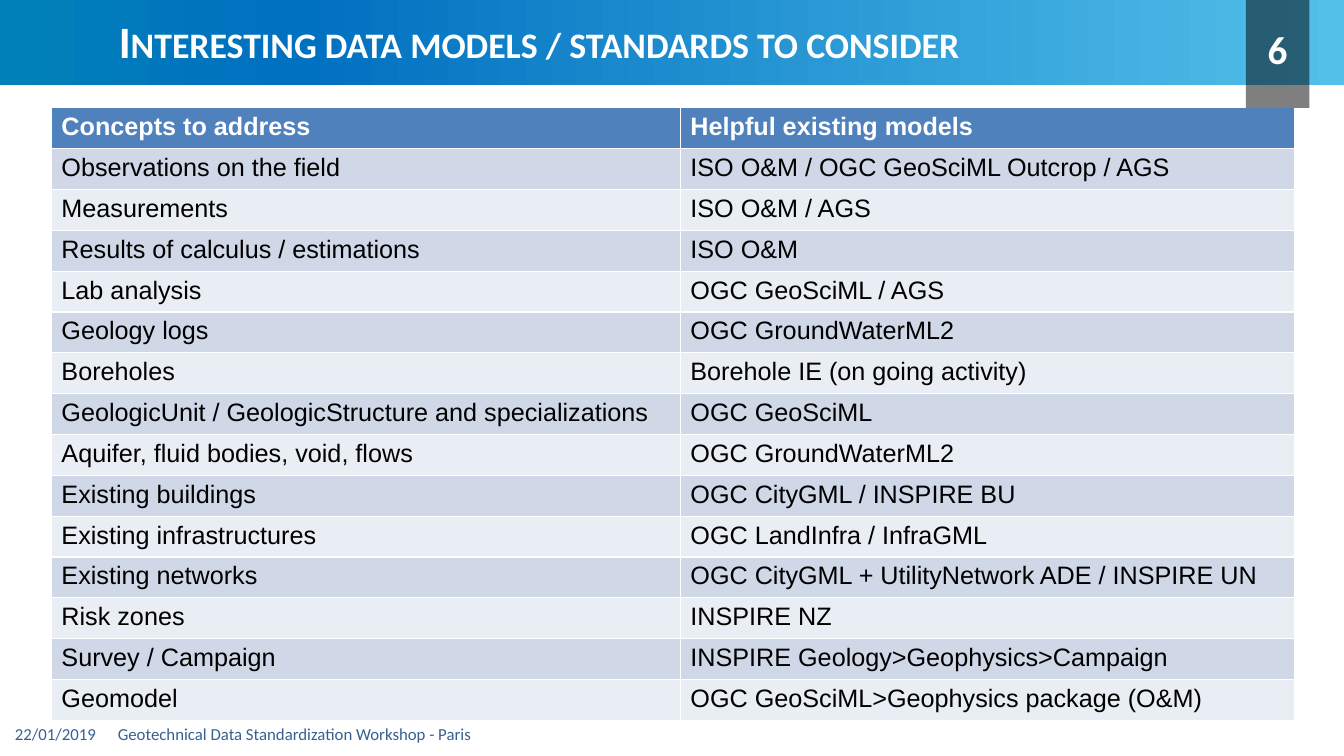
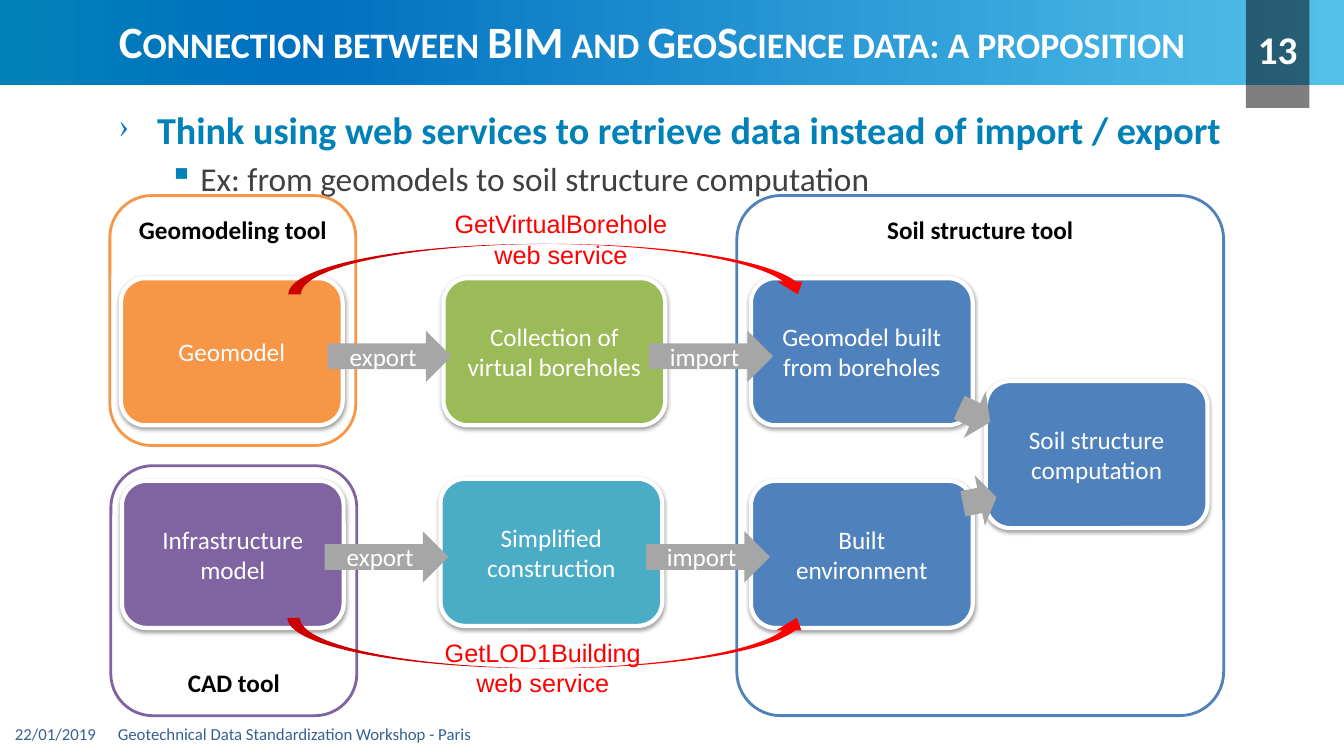
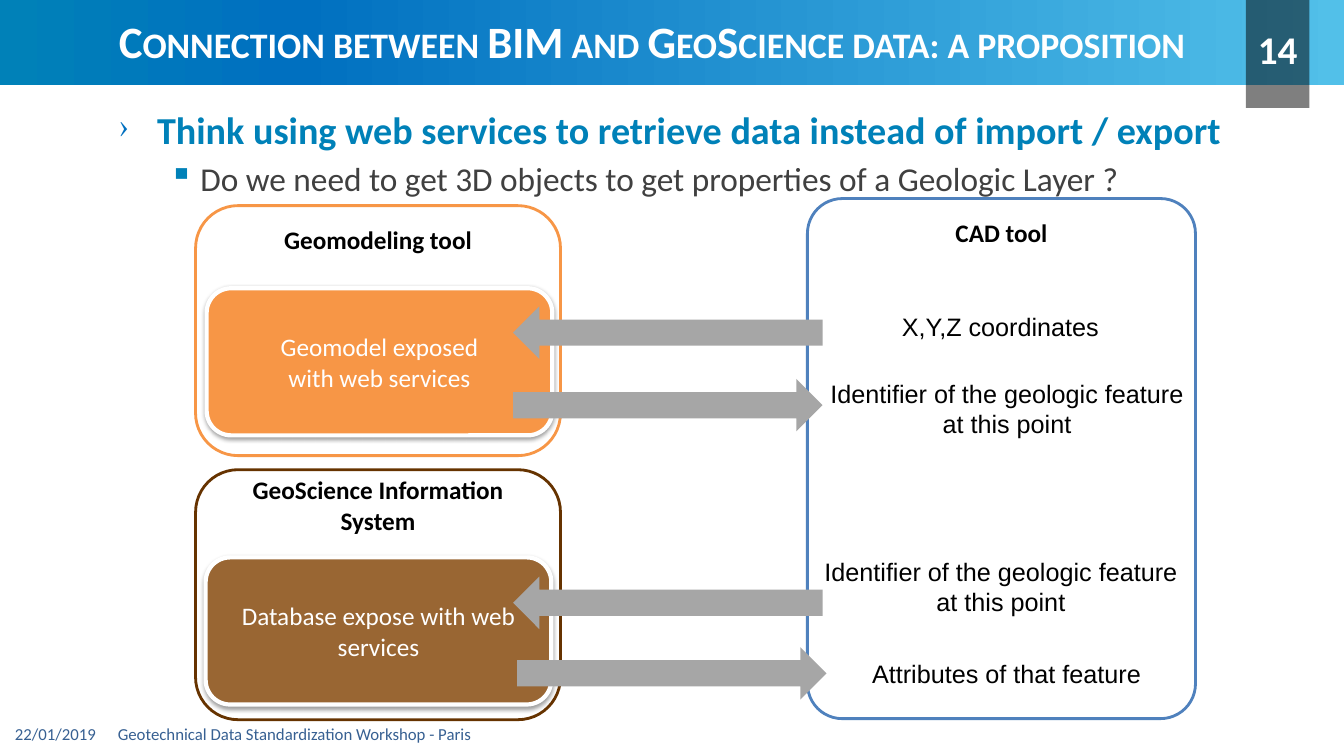
from copy import deepcopy

from lxml.etree import SubElement
from pptx import Presentation
from pptx.dml.color import RGBColor
from pptx.enum.shapes import MSO_SHAPE as Kind
from pptx.enum.text import MSO_ANCHOR as Anchor, PP_ALIGN as Align
from pptx.oxml.ns import qn
from pptx.util import Inches, Pt

# Grid: cells of a tenth of an inch, 133.33 columns by 75 rows
CELL = Inches(0.1)
COLUMNS, ROWS = 133.33, 75

WHITE = RGBColor(0xFF, 0xFF, 0xFF)
BLACK = RGBColor(0x00, 0x00, 0x00)
TEAL = RGBColor(0x00, 0x81, 0xB8)
DEEP_BLUE = RGBColor(0x00, 0x70, 0xC0)
SKY = RGBColor(0x52, 0xC0, 0xE9)
FOOTER_BLUE = RGBColor(0x37, 0x60, 0x92)
BLUE = RGBColor(0x4F, 0x81, 0xBD)
ORANGE = RGBColor(0xF7, 0x96, 0x46)
GREEN = RGBColor(0x9B, 0xBB, 0x59)
PURPLE = RGBColor(0x80, 0x64, 0xA2)
AQUA = RGBColor(0x4B, 0xAC, 0xC6)
DARK_BROWN = RGBColor(0x66, 0x33, 0x00)
BROWN = RGBColor(0x99, 0x66, 0x33)
GREY = RGBColor(0xA6, 0xA6, 0xA6)
DARK_GREY = RGBColor(0x40, 0x40, 0x40)
RED = RGBColor(0xFF, 0x00, 0x00)
ROW_FILLS = (RGBColor(0xE9, 0xED, 0xF4), RGBColor(0xD0, 0xD8, 0xE8))


def add_box(page, kind, place, fill=None, line=None, line_width=0):
    """Add a preset shape, or a text box when kind is None, at grid cells."""
    left, top, width, height = (round(cells * CELL) for cells in place)
    if kind is None:
        return page.shapes.add_textbox(left, top, width, height)
    box = page.shapes.add_shape(kind, left, top, width, height)
    box.shadow.inherit = False
    box.fill.solid()
    box.fill.fore_color.rgb = fill
    if line is None:
        box.line.fill.background()
    else:
        box.line.color.rgb = line
        box.line.width = Pt(line_width)
    return box


def write(box, text, size=18, color=WHITE, name="Calibri", bold=False,
          align=Align.CENTER, anchor=Anchor.MIDDLE, wrap=True):
    """Fill a box with text, one paragraph a line, in one format."""
    frame = box.text_frame
    frame.text = text
    frame.word_wrap = wrap
    frame.vertical_anchor = anchor
    for para in frame.paragraphs:
        para.alignment = align
        for span in para.runs:
            span.font.size = Pt(size)
            span.font.color.rgb = color
            span.font.name = name
            span.font.bold = bold
    return frame


PROPOSITION = "Connection between BIM and GeoScience data: a proposition"
MODELS = [
    ("Concepts to address", "Helpful existing models"),
    ("Observations on the field", "ISO O&M / OGC GeoSciML Outcrop / AGS"),
    ("Measurements", "ISO O&M / AGS"),
    ("Results of calculus / estimations", "ISO O&M"),
    ("Lab analysis", "OGC GeoSciML / AGS"),
    ("Geology logs", "OGC GroundWaterML2"),
    ("Boreholes", "Borehole IE (on going activity)"),
    ("GeologicUnit / GeologicStructure and specializations", "OGC GeoSciML"),
    ("Aquifer, fluid bodies, void, flows", "OGC GroundWaterML2"),
    ("Existing buildings", "OGC CityGML / INSPIRE BU"),
    ("Existing infrastructures", "OGC LandInfra / InfraGML"),
    ("Existing networks", "OGC CityGML + UtilityNetwork ADE / INSPIRE UN"),
    ("Risk zones", "INSPIRE NZ"),
    ("Survey / Campaign", "INSPIRE Geology>Geophysics>Campaign"),
    ("Geomodel", "OGC GeoSciML>Geophysics package (O&M)"),
]

# Diagrams. frames: place, line, corner, label, label centre from the top.
# cards: place, fill, text. arrows: kind, place, angle, text.
# notes: place, colour, text. curves: place, flipped.
CARD_W, CARD_H = 22, 14.6
ARROW_W, ARROW_H = 12.3, 5.1
LONG_W = 30.7
SMALL_CORNER, LARGE_CORNER = 0.17, 0.09
IDENTIFIER = "Identifier of the geologic feature\nat this point"

web_service_diagram = {
    "point": "Ex: from geomodels to soil structure computation",
    "frames": [
        ((73.1, 19.4, 48.3, 51.6), BLUE, LARGE_CORNER, "Soil structure tool", 3.4),
        ((10.9, 19.4, 24.4, 24.8), ORANGE, SMALL_CORNER, "Geomodeling tool", 3.4),
        ((11, 46.2, 24.4, 24.8), PURPLE, SMALL_CORNER, "CAD tool", 21.5),
    ],
    "cards": [
        ((97.8, 37.8, CARD_W, CARD_H), BLUE, "Soil structure computation"),
        ((12, 27.6, CARD_W, CARD_H), ORANGE, "Geomodel"),
        ((44, 27.6, CARD_W, CARD_H), GREEN, "Collection of virtual boreholes"),
        ((74.5, 27.6, CARD_W, CARD_H), BLUE, "Geomodel built from boreholes"),
        ((12.1, 47.7, CARD_W, CARD_H), PURPLE, "Infrastructure model"),
        ((43.7, 47.5, CARD_W, CARD_H), AQUA, "Simplified construction"),
        ((74.5, 47.7, CARD_W, CARD_H), BLUE, "Built\nenvironment"),
    ],
    "arrows": [
        (Kind.RIGHT_ARROW, (32.5, 32.8, ARROW_W, ARROW_H), 0, "export"),
        (Kind.RIGHT_ARROW, (64.4, 32.8, ARROW_W, ARROW_H), 0, "import"),
        (Kind.RIGHT_ARROW, (32.2, 52.7, ARROW_W, ARROW_H), 0, "export"),
        (Kind.RIGHT_ARROW, (64.1, 52.7, ARROW_W, ARROW_H), 0, "import"),
        (Kind.RIGHT_ARROW, (95, 38.6, 3.4, ARROW_H), 25.3, ""),
        (Kind.RIGHT_ARROW, (95.5, 47.1, 3.4, ARROW_H), 348.6, ""),
    ],
    "notes": [
        ((44, 20.2, 23.3, 7.1), RED, "GetVirtualBorehole\nweb service"),
        ((43, 62.7, 21.7, 7.1), RED, "GetLOD1Building\nweb service"),
    ],
    "curves": [((28.6, 24.2, 51.8, 5), False), ((28.5, 61.3, 51.8, 5), True)],
}

properties_diagram = {
    "point": "Do we need to get 3D objects to get properties of a Geologic Layer ?",
    "frames": [
        ((80.1, 19.7, 38.5, 51.6), BLUE, LARGE_CORNER, "CAD tool", 3.4),
        ((19.4, 20.4, 36.2, 24.8), ORANGE, SMALL_CORNER, "Geomodeling tool", 3.4),
        ((19.4, 46.6, 36.2, 24.8), DARK_BROWN, SMALL_CORNER,
         "GeoScience Information System", 3.5),
    ],
    "cards": [
        ((20.5, 28.6, 34.3, CARD_H), ORANGE, "Geomodel exposed\nwith web services"),
        ((20.4, 55.3, 34.3, CARD_H), BROWN, "Database expose with web services"),
    ],
    "arrows": [
        (Kind.LEFT_ARROW, (50.9, 30.4, LONG_W, 5.2), 0, ""),
        (Kind.RIGHT_ARROW, (50.9, 37.6, LONG_W, 5.2), 0, ""),
        (Kind.LEFT_ARROW, (50.9, 57.2, LONG_W, 5.2), 0, ""),
        (Kind.RIGHT_ARROW, (51.3, 64.2, LONG_W, 5.2), 0, ""),
    ],
    "notes": [
        ((88.4, 30.4, 21.7, 4), BLACK, "X,Y,Z coordinates"),
        ((81.2, 37, 37.4, 7.1), BLACK, IDENTIFIER),
        ((80.6, 54.7, 37.4, 7.1), BLACK, IDENTIFIER),
        ((85.4, 64.8, 28.9, 4), BLACK, "Attributes of that feature"),
    ],
    "curves": [],
}

SLIDES = [
    (6, "Interesting data models / standards to consider", None),
    (13, PROPOSITION, web_service_diagram),
    (14, PROPOSITION, properties_diagram),
]

deck = Presentation()
deck.slide_width = round(COLUMNS * CELL)
deck.slide_height = ROWS * CELL

for number, title, diagram in SLIDES:
    page = deck.slides.add_slide(deck.slide_layouts[6])

    # Title band with a three-stop gradient
    band = add_box(page, Kind.RECTANGLE, (0, 0, COLUMNS, 8.4), TEAL)
    band.fill.gradient()
    band.fill.gradient_angle = 0
    stop_list = band.fill._xPr.find(".//" + qn("a:gsLst"))
    stop_list.append(deepcopy(stop_list[-1]))
    stops = zip(band.fill.gradient_stops, (0, 0.22, 1), (TEAL, DEEP_BLUE, SKY))
    for stop, position, color in stops:
        stop.position = position
        stop.color.rgb = color

    heading = add_box(page, None, (10.8, 1.3, 111.8, 5.5))
    frame = write(heading, title, 32, bold=True, align=Align.LEFT)
    frame.paragraphs[0].runs[0].font._element.set("cap", "small")

    # Footer
    for left, width, text in ((0.5, 10.2, "22/01/2019"),
                              (10.7, 102.9, "Geotechnical Data Standardization Workshop - Paris")):
        footer = add_box(page, None, (left, 71.4, width, 2.8))
        write(footer, text, 12, FOOTER_BLUE, align=Align.LEFT)

    # Table of models
    if diagram is None:
        place = (round(cells * CELL) for cells in (5.1, 10.7, 123.3, 60.8))
        table = page.shapes.add_table(len(MODELS), 2, *place).table
        for column, width in zip(table.columns, (62.4, 60.9)):
            column.width = round(width * CELL)
        for row, texts in enumerate(MODELS):
            for column, text in enumerate(texts):
                cell = table.cell(row, column)
                cell.text = text
                cell.fill.solid()
                cell.fill.fore_color.rgb = ROW_FILLS[row % 2] if row else BLUE
                font = cell.text_frame.paragraphs[0].runs[0].font
                font.size = Pt(18)
                font.name = "Arial"
                font.bold = row == 0
                font.color.rgb = BLACK if row else WHITE

    # Diagram with its two bullet lines
    else:
        body = add_box(page, None, (10.8, 10.1, 119.2, 9.1))
        claim = "Think using web services to retrieve data instead of import / export"
        frame = write(body, claim + "\n" + diagram["point"], align=Align.LEFT,
                      anchor=Anchor.TOP)
        bullets = (("›", 80, DEEP_BLUE, 0.38, 0.38, 27.2, TEAL, True),
                   ("▪", 100, TEAL, 0.81, 0.31, 23.8, DARK_GREY, False))
        for level, (para, bullet) in enumerate(zip(frame.paragraphs, bullets)):
            mark, share, mark_color, indent, hang, size, color, bold = bullet
            para.level = level
            if level:
                para.space_before = Pt(4)
            props = para._p.get_or_add_pPr()
            props.set("marL", str(Inches(indent)))
            props.set("indent", str(-Inches(hang)))
            tint = SubElement(props, qn("a:buClr"))
            SubElement(tint, qn("a:srgbClr")).set("val", str(mark_color))
            SubElement(props, qn("a:buSzPct")).set("val", str(share * 1000))
            SubElement(props, qn("a:buChar")).set("char", mark)
            font = para.runs[0].font
            font.size = Pt(size)
            font.bold = bold
            font.color.rgb = color

        # Tool frames: the margins centre the label at its height
        for place, line, corner, label, centre in diagram["frames"]:
            tool = add_box(page, Kind.ROUNDED_RECTANGLE, place, WHITE, line, 2)
            tool.adjustments[0] = corner
            frame = write(tool, label, color=BLACK, bold=True)
            shift = 2 * centre - place[3]
            frame.margin_top = round(max(shift, 0) * CELL)
            frame.margin_bottom = round(max(-shift, 0) * CELL)

        # Cards with a soft shadow
        for place, fill, text in diagram["cards"]:
            card = add_box(page, Kind.ROUNDED_RECTANGLE, place, fill, WHITE, 3)
            write(card, text)
            effects = card._element.spPr.find(qn("a:effectLst"))
            shadow = SubElement(effects, qn("a:outerShdw"), blurRad=str(Pt(3.1)),
                                dist=str(Pt(1.6)), dir="5400000", rotWithShape="0")
            tint = SubElement(shadow, qn("a:srgbClr"), val=str(BLACK))
            SubElement(tint, qn("a:alpha"), val="38000")

        for kind, place, angle, text in diagram["arrows"]:
            arrow = add_box(page, kind, place, GREY)
            arrow.rotation = angle
            if text:
                write(arrow, text)

        for place, color, text in diagram["notes"]:
            note = add_box(page, None, place)
            write(note, text, 18, color, "Arial", anchor=Anchor.TOP, wrap=False)

        for place, flipped in diagram["curves"]:
            curve = add_box(page, Kind.CURVED_DOWN_ARROW, place, RED)
            if flipped:
                curve._element.spPr.find(qn("a:xfrm")).set("flipV", "1")

    # Page number on a half-transparent tab
    tab = add_box(page, Kind.RECTANGLE, (123.6, -1.1, 6.3, 11.8), BLACK)
    tint = tab._element.spPr.find(qn("a:solidFill"))[0]
    SubElement(tint, qn("a:alpha")).set("val", "50000")
    write(tab, str(number), 28, bold=True)

deck.save("out.pptx")
